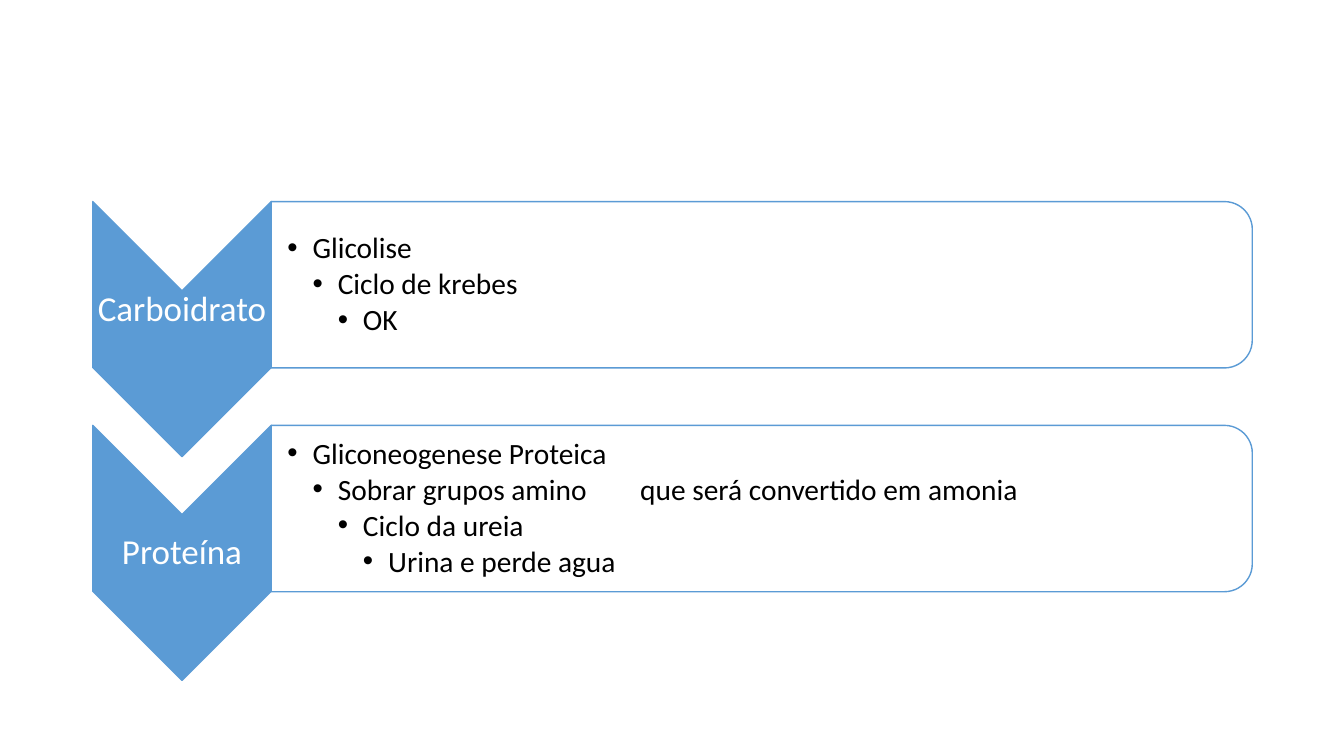
from lxml import etree
from pptx import Presentation
from pptx import util as u
from pptx.dml.color import RGBColor
from pptx.enum import shapes, text
from pptx.oxml import ns

BLUE, WHITE, BLACK = "5B9BD5", "FFFFFF", "000000"
FONT = "Calibri"
CHEVRON_WIDTH, CHEVRON_HEIGHT = 1.77, 2.53
PANEL_HEIGHT = 1.65
ROW_LEFT, ROW_TOP, ROW_WIDTH, ROW_PITCH = 0.92, 2.0, 11.5, 2.22
INDENT = 0.25

ROWS = [
    ("Carboidrato", 0.4, ["Glicolise", "Ciclo de krebes", "OK"]),
    ("Proteína", 0.02, [
        "Gliconeogenese Proteica",
        "Sobrar grupos amino \tque será convertido em amonia",
        "Ciclo da ureia",
        "Urina e perde agua",
    ]),
]


def color(value):
    return RGBColor.from_string(value)


def add_turned_shape(page, kind, left, top, width, height, fill):
    shape = page.shapes.add_shape(
        kind,
        u.Inches(left + (width - height) / 2),
        u.Inches(top + (height - width) / 2),
        u.Inches(height),
        u.Inches(width),
    )
    shape.rotation = 90
    shape.shadow.inherit = False
    shape.fill.solid()
    shape.fill.fore_color.rgb = color(fill)
    shape.line.color.rgb = color(BLUE)
    shape.line.width = u.Pt(1)
    return shape


def add_text(page, left, top, width, height, lines, size, ink, margins):
    box = page.shapes.add_textbox(*map(u.Inches, (left, top, width, height)))
    frame = box.text_frame
    frame.word_wrap = True
    frame.vertical_anchor = text.MSO_ANCHOR.MIDDLE
    (frame.margin_left, frame.margin_top,
     frame.margin_right, frame.margin_bottom) = map(u.Inches, margins)
    frame.text = "\n".join(lines)
    for para in frame.paragraphs:
        para.line_spacing = 0.9
        for span in para.runs:
            span.font.name = FONT
            span.font.size = u.Pt(size)
            span.font.color.rgb = color(ink)
    return frame


def add_bullet(para, level):
    para.level = level
    para.space_after = u.Pt(3)
    properties = para._p.get_or_add_pPr()
    properties.set("marL", str(u.Inches(INDENT * (level + 1))))
    properties.set("indent", str(u.Inches(-INDENT)))
    bullet_font = etree.SubElement(properties, ns.qn("a:buFont"))
    bullet_font.set("typeface", "Arial")
    etree.SubElement(properties, ns.qn("a:buChar")).set("char", "•")


def add_chevron(page, left, top, label, bottom_margin):
    add_turned_shape(page, shapes.MSO_SHAPE.CHEVRON, left, top,
                     CHEVRON_WIDTH, CHEVRON_HEIGHT, BLUE)
    label_height = CHEVRON_HEIGHT - CHEVRON_WIDTH
    frame = add_text(page, left, top + CHEVRON_WIDTH / 2, CHEVRON_WIDTH,
                     label_height, [label], 25, WHITE,
                     (0.02, 0.02, 0.02, bottom_margin))
    frame.paragraphs[0].alignment = text.PP_ALIGN.CENTER


def add_panel(page, left, top, width, items):
    panel = add_turned_shape(page, shapes.MSO_SHAPE.ROUND_2_SAME_RECTANGLE,
                             left, top, width, PANEL_HEIGHT, WHITE)
    tint = panel.fill._xPr.find(ns.qn("a:solidFill"))[0]
    etree.SubElement(tint, ns.qn("a:alpha")).set("val", "90000")
    frame = add_text(page, left, top + 0.08, width - 0.08, PANEL_HEIGHT - 0.16,
                     items, 21, BLACK, (0.16, 0.01, 0.01, 0.01))
    for level, para in enumerate(frame.paragraphs):
        add_bullet(para, level)


def add_row(page, left, top, width, label, bottom_margin, items):
    add_chevron(page, left, top, label, bottom_margin)
    add_panel(page, left + CHEVRON_WIDTH, top, width - CHEVRON_WIDTH, items)


def main():
    deck = Presentation()
    deck.slide_width, deck.slide_height = u.Inches(13.33), u.Inches(7.5)
    page = deck.slides.add_slide(deck.slide_layouts[6])
    for index, (label, bottom_margin, items) in enumerate(ROWS):
        add_row(page, ROW_LEFT, ROW_TOP + index * ROW_PITCH, ROW_WIDTH,
                label, bottom_margin, items)
    deck.save("out.pptx")


if __name__ == "__main__":
    main()
